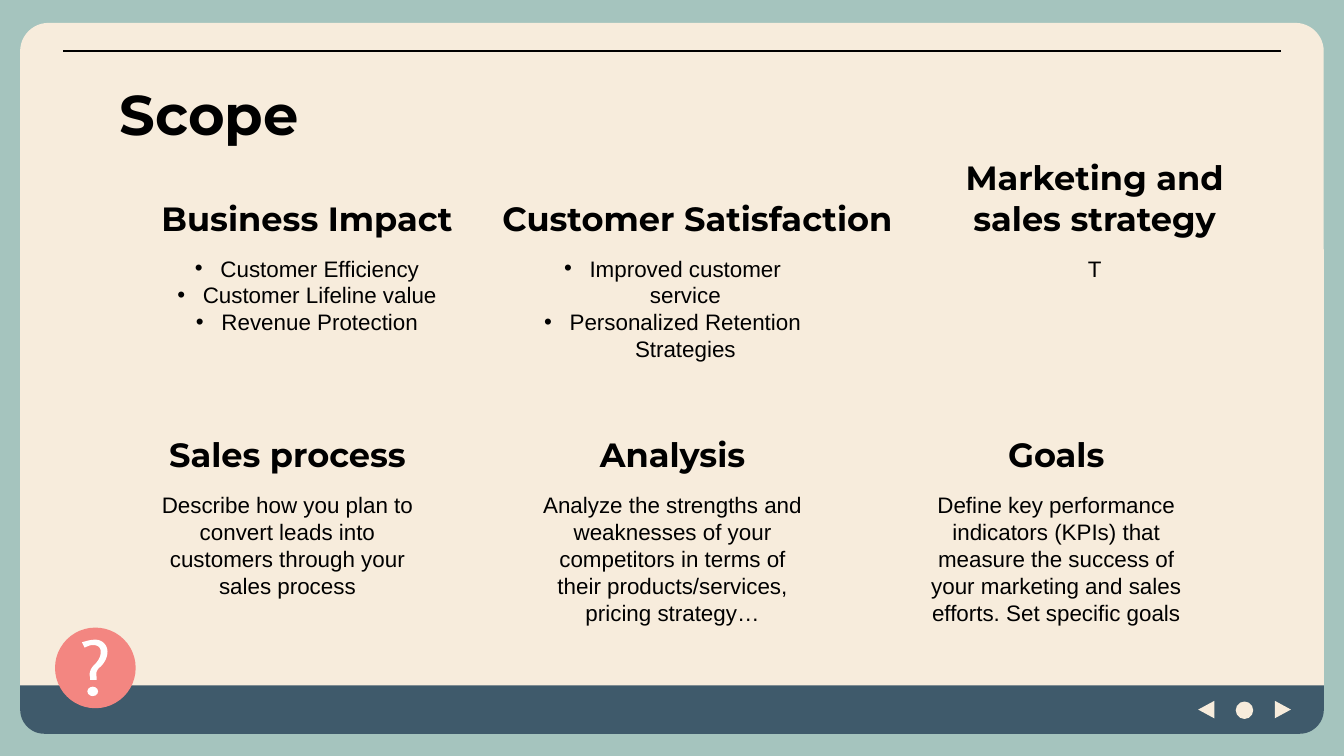
from lxml.etree import SubElement as Sub
from pptx import Presentation
from pptx.dml.color import RGBColor as RGB
from pptx.enum.shapes import MSO_CONNECTOR as Conn, MSO_SHAPE as Kind
from pptx.enum.text import MSO_ANCHOR as Anchor, MSO_AUTO_SIZE as Fit, PP_ALIGN as Align
from pptx.oxml.ns import qn
from pptx.util import Pt

PX = 9144  # 100 px to the inch
WIDE, TALL = 1000, 562.5  # 16:9
COLORS = {
    "back": "A5C4BE",
    "card": "F7ECDC",
    "bar": "3F5A6B",
    "badge": "F38681",
    "mark": "FFFFFF",
    "ink": "000000",
}


def color(name):
    return RGB.from_string(COLORS[name])


def emu(*nums):
    return [round(n * PX) for n in nums]


def paint(shape, name):
    shape.shadow.inherit = False
    shape.fill.solid()
    shape.fill.fore_color.rgb = color(name)
    shape.line.fill.background()


def add_form(slide, kind, box, name, turn=0, adj=()):
    shape = slide.shapes.add_shape(kind, *emu(*box))
    paint(shape, name)
    shape.rotation = turn
    for i, val in enumerate(adj):
        shape.adjustments[i] = val


def set_text(frame, text, font, size, bold=False, align=Align.CENTER, anchor=Anchor.TOP):
    frame.word_wrap = True
    frame.auto_size = Fit.NONE
    frame.vertical_anchor = anchor
    frame.margin_left = frame.margin_right = 10 * PX
    frame.margin_top = frame.margin_bottom = 10 * PX
    frame.text = text
    for par in frame.paragraphs:
        par.alignment = align
        for run in par.runs:
            run.font.name = font
            run.font.size = Pt(size)
            run.font.bold = bold
            run.font.color.rgb = color("ink")


def add_bullets(frame):
    for par in frame.paragraphs:
        prop = par._p.get_or_add_pPr()
        prop.set("marL", str(19 * PX))
        prop.set("indent", str(-19 * PX))
        Sub(prop, qn("a:buFont"), typeface="Arial")
        Sub(prop, qn("a:buChar"), char="•")


def add_frame(slide, x, y, w, h):
    """Card with its top rule, bottom bar and navigation signs."""
    add_form(slide, Kind.ROUNDED_RECTANGLE, (x, y, w, h), "card", adj=[0.04])
    bar = 36
    add_form(slide, Kind.ROUND_2_SAME_RECTANGLE, (x, y + h - bar, w, bar),
             "bar", 180, [0.5, 0])
    signs = [(Kind.ISOSCELES_TRIANGLE, 270, 12), (Kind.OVAL, 0, 13),
             (Kind.ISOSCELES_TRIANGLE, 90, 12)]
    for i, (kind, turn, tall) in enumerate(signs):
        place = (x + w - 94 + i * 28.5, y + h - 24, 13, tall)
        add_form(slide, kind, place, "card", turn)

    rule = slide.shapes.add_connector(
        Conn.STRAIGHT, *emu(x + 32, y + 21, x + w - 32, y + 21))
    rule.line.color.rgb = color("ink")
    rule.line.width = Pt(1.5)
    Sub(rule._element.spPr, qn("a:effectLst"))


def add_title(slide, text, x, y, w, h):
    title = slide.shapes.title
    slide.shapes._spTree.append(title._element)  # in front of the card
    title.left, title.top, title.width, title.height = emu(x, y, w, h)
    set_text(title.text_frame, text, "Montserrat", 30, True, Align.LEFT)


def add_topic(slide, head, body, x, y, w, lead=0, wide=None, dots=False):
    """Heading over a text; a wide heading starts lead px to the left."""
    top = slide.shapes.add_textbox(*emu(x - lead, y, wide or w, 50))
    set_text(top.text_frame, head, "Montserrat", 18, True, anchor=Anchor.BOTTOM)
    low = slide.shapes.add_textbox(*emu(x, y + 42.5, w, 121))
    set_text(low.text_frame, body, "Arial", 12)
    if dots:
        add_bullets(low.text_frame)


def curve(a, b, c, d, steps=8):
    """Points of a cubic curve, without its start."""
    for i in range(1, steps + 1):
        t = i / steps
        s = 1 - t
        yield tuple(s**3 * p + 3 * s * s * t * q + 3 * s * t * t * r + t**3 * u
                    for p, q, r, u in zip(a, b, c, d))


def add_badge(slide, x, y, size):
    """Disc with a question mark."""
    add_form(slide, Kind.OVAL, (x, y, size, size), "badge")
    # Each step is a line (one point) or a curve (three points)
    start = (30, 9)
    steps = [
        [(27, 9), (23, 10), (20, 11)],
        [(22, 15)],
        [(24, 14), (26, 13), (28, 13)],
        [(32, 13), (34, 15), (34, 18)],
        [(34, 22), (32, 25), (29, 28)],
        [(27, 30), (25, 33), (26, 37)],
        [(26, 39)],
        [(31, 39)],
        [(31, 37)],
        [(30, 34), (31, 31), (34, 29)],
        [(37, 26), (39, 22), (39, 18)],
        [(39, 13), (35, 9), (30, 9)],
    ]
    points, last = [], start
    for step in steps:
        points += curve(last, *step) if len(step) == 3 else step
        last = step[-1]
    pen = slide.shapes.build_freeform(*emu(*start), scale=1.0)
    pen.add_line_segments([emu(*point) for point in points], close=True)
    paint(pen.convert_to_shape(*emu(x, y)), "mark")
    add_form(slide, Kind.OVAL, (x + 24, y + 44, 8, 7), "mark")


def main():
    deck = Presentation()
    deck.slide_width, deck.slide_height = emu(WIDE, TALL)
    slide = deck.slides.add_slide(deck.slide_layouts[5])
    slide.background.fill.solid()
    slide.background.fill.fore_color.rgb = color("back")

    add_frame(slide, 15, 17, 970, 529)
    add_title(slide, "Scope", 79, 49, 843, 63)

    # Topics in two rows of three
    cols, rows = (106, 392, 678), (137, 313)
    topics = [
        ("Business Impact",
         "Customer Efficiency\nCustomer Lifeline value\nRevenue Protection",
         dict(w=245, dots=True)),
        ("Customer Satisfaction",
         "Improved customer service\nPersonalized Retention Strategies",
         dict(w=217, lead=41, wide=336, dots=True)),
        ("Marketing and sales strategy", "T", dict(w=273)),
        ("Sales process",
         "Describe how you plan to convert leads into customers through "
         "your sales process", dict(w=216)),
        ("Analysis",
         "Analyze the strengths and weaknesses of your competitors in terms "
         "of their products/services, pricing strategy…", dict(w=217)),
        ("Goals",
         "Define key performance indicators (KPIs) that measure the success "
         "of your marketing and sales efforts. Set specific goals", dict(w=216)),
    ]
    for i, (head, body, look) in enumerate(topics):
        add_topic(slide, head, body, cols[i % 3], rows[i // 3], **look)

    add_badge(slide, 41, 467, 60)
    deck.save("out.pptx")


if __name__ == "__main__":
    main()
